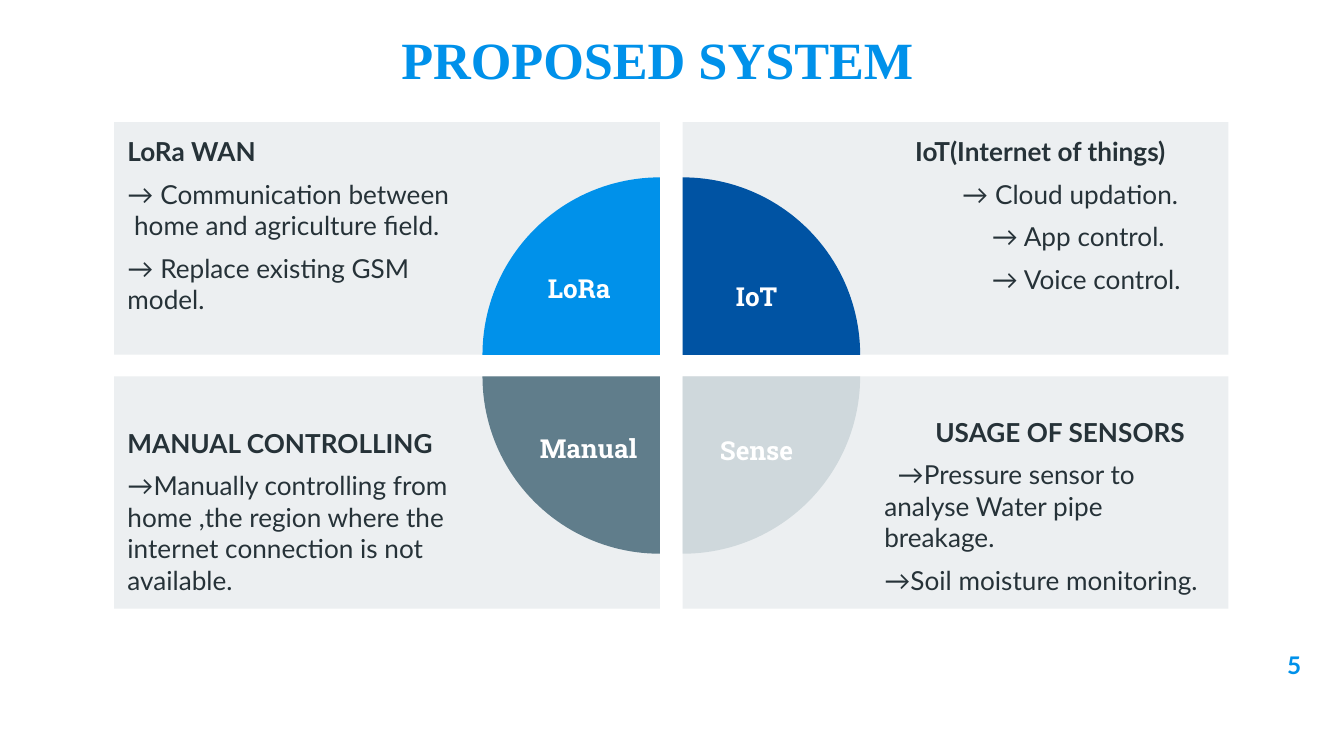
import pptx
import pptx.dml.color
import pptx.enum.shapes
import pptx.enum.text
import pptx.util

Inches = pptx.util.Inches
Pt = pptx.util.Pt
SHAPE = pptx.enum.shapes.MSO_SHAPE
ALIGN = pptx.enum.text.PP_ALIGN
ANCHOR = pptx.enum.text.MSO_ANCHOR

BLUE, INK, PANEL, WHITE = "0091EA", "263238", "ECEFF1", "FFFFFF"
SLIDE_W = 10
SLIDE_H = SLIDE_W * 9 / 16
PANEL_W, PANEL_H = 4.06, 1.73
LEFT, TOP, GAP_X, GAP_Y = 0.85, 0.91, 0.17, 0.16
RADIUS = 1.32
PIE_SIDE_INSET = 1.5

# Each point is (text, left margin, first-line indent), in inches.
QUADRANTS = [
    dict(col=0, row=0, color=BLUE, rotation=0,
         label="LoRa", label_offset=(-0.6, -0.45),
         points=[("LoRa WAN", 0, 0),
                 ("→ Communication between home and agriculture field.", 0.05, -0.05),
                 ("→ Replace existing GSM model.", 0, 0)]),
    dict(col=1, row=0, color="0053A3", rotation=90,
         label="IoT", label_offset=(0.55, -0.39),
         points=[("IoT(Internet of things)", 0.23, 0),
                 ("→ Cloud updation.", 0.58, 0),
                 ("→ App control.", 0.8, 0),
                 ("→ Voice control.", 0.8, 0)]),
    dict(col=0, row=1, color="607D8B", rotation=270,
         label="Manual", label_offset=(-0.53, 0.58),
         points=[("MANUAL CONTROLLING", 0, 0),
                 ("→Manually controlling from home ,the region where the "
                  "internet connection is not available.", 0, 0)]),
    dict(col=1, row=1, color="CFD8DC", rotation=180,
         label="Sense", label_offset=(0.55, 0.59),
         points=[("USAGE OF SENSORS", 0.38, 0),
                 ("→Pressure sensor to analyse Water pipe breakage.", 0, 0.1),
                 ("→Soil moisture monitoring.", 0, 0)]),
]


def rgb(color):
    return pptx.dml.color.RGBColor.from_string(color)


def set_values(target, values):
    for name, value in values.items():
        setattr(target, name, value)


def write(paragraph, text, font, size, color, bold=True):
    run = paragraph.add_run()
    run.text = text
    set_values(run.font, dict(name=font, size=Pt(size), bold=bold))
    run.font.color.rgb = rgb(color)


def add_filled(slide, kind, box, color):
    shape = slide.shapes.add_shape(kind, *map(Inches, box))
    shape.shadow.inherit = False
    shape.fill.solid()
    shape.fill.fore_color.rgb = rgb(color)
    shape.line.fill.background()
    return shape


def add_line_of_text(slide, box, text, font, size, color,
                     align=ALIGN.CENTER, anchor=ANCHOR.TOP, inset_y=0.1):
    frame = slide.shapes.add_textbox(*map(Inches, box)).text_frame
    set_values(frame, dict(word_wrap=True, vertical_anchor=anchor,
                           margin_top=Inches(inset_y), margin_bottom=Inches(inset_y)))
    paragraph = frame.paragraphs[0]
    paragraph.alignment = align
    write(paragraph, text, font, size, color)


def add_panel(slide, box, quadrant):
    """Draw the card, keeping its text clear of the pie on the inner side."""
    panel = add_filled(slide, SHAPE.RECTANGLE, box, PANEL)
    frame = panel.text_frame
    on_right, at_bottom = quadrant["col"] == 1, quadrant["row"] == 1
    set_values(frame, dict(
        word_wrap=True,
        vertical_anchor=ANCHOR.BOTTOM if at_bottom else ANCHOR.TOP,
        margin_left=Inches(PIE_SIDE_INSET if on_right else 0.1),
        margin_right=Inches(0.1 if on_right else PIE_SIDE_INSET),
        margin_top=Inches(0.1),
        margin_bottom=Inches(0.1)))
    for index, (text, margin, indent) in enumerate(quadrant["points"]):
        paragraph = frame.paragraphs[0] if index == 0 else frame.add_paragraph()
        set_values(paragraph, dict(alignment=ALIGN.LEFT,
                                   space_before=Pt(6 if index else 0)))
        properties = paragraph._p.get_or_add_pPr()
        properties.set("marL", str(Inches(margin)))
        properties.set("indent", str(Inches(indent)))
        write(paragraph, text, "Lato", 14, INK, bold=index == 0)


def add_quadrant(slide, box, quadrant):
    """Draw a card and a quarter pie centred on the card's inner corner."""
    left, top, width, height = box
    center_x = left if quadrant["col"] else left + width
    center_y = top if quadrant["row"] else top + height
    add_panel(slide, box, quadrant)

    pie = add_filled(slide, SHAPE.PIE,
                     (center_x - RADIUS, center_y - RADIUS, 2 * RADIUS, 2 * RADIUS),
                     quadrant["color"])
    pie.adjustments[0] = 108  # 180 degrees
    pie.adjustments[1] = 162  # 270 degrees
    pie.rotation = quadrant["rotation"]

    offset_x, offset_y = quadrant["label_offset"]
    label_w, label_h = 1, 0.42
    label_box = (center_x + offset_x - label_w / 2,
                 center_y + offset_y - label_h / 2, label_w, label_h)
    add_line_of_text(slide, label_box, quadrant["label"], "Roboto Slab", 14, WHITE,
                     inset_y=0.05)


def main():
    deck = pptx.Presentation()
    set_values(deck, dict(slide_width=Inches(SLIDE_W), slide_height=Inches(SLIDE_H)))
    slide = deck.slides.add_slide(deck.slide_layouts[6])

    add_line_of_text(slide, (0.75, 0, 8.28, 0.77), "PROPOSED SYSTEM",
                     "Times New Roman", 28, BLUE, anchor=ANCHOR.BOTTOM)
    for quadrant in QUADRANTS:
        left = LEFT + quadrant["col"] * (PANEL_W + GAP_X)
        top = TOP + quadrant["row"] * (PANEL_H + GAP_Y)
        add_quadrant(slide, (left, top, PANEL_W, PANEL_H), quadrant)
    add_line_of_text(slide, (9.18, 4.74, 0.6, 0.43), "5", "Lato", 13, BLUE,
                     align=ALIGN.RIGHT)

    deck.save("out.pptx")


if __name__ == "__main__":
    main()
